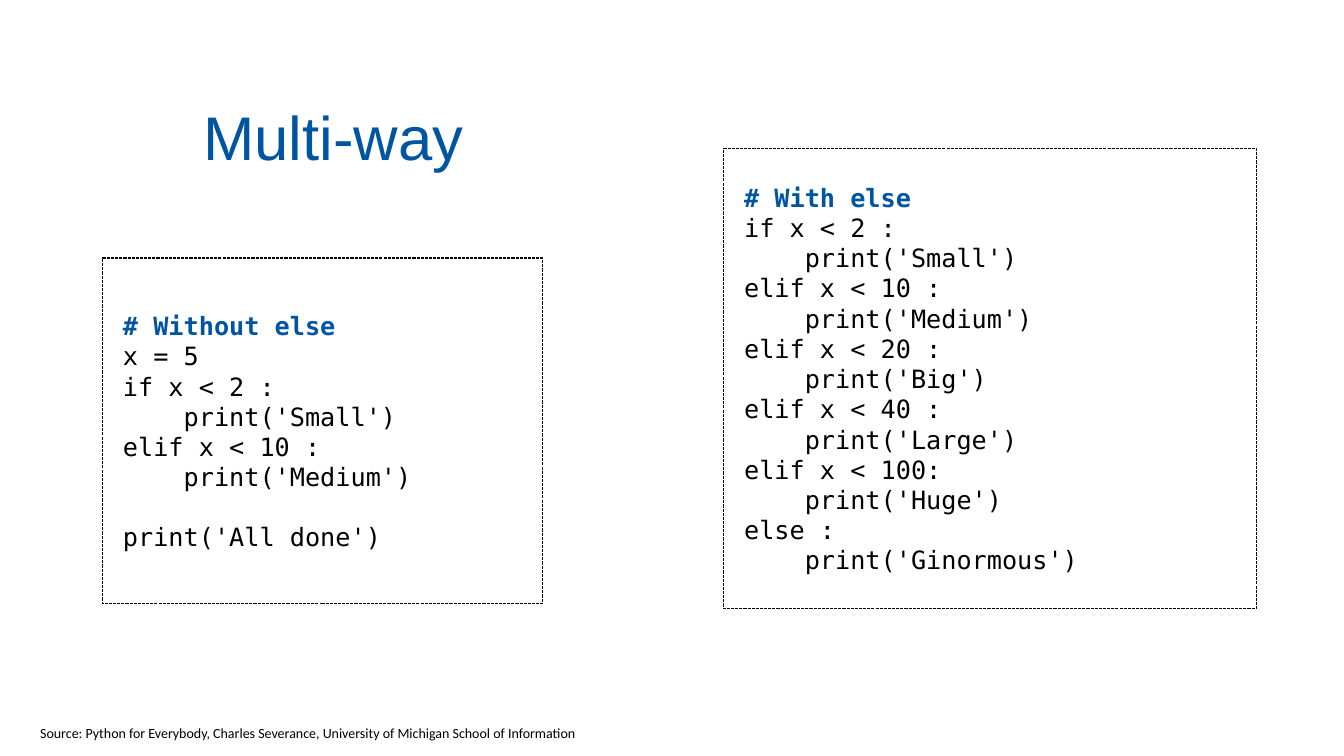
from pptx import Presentation
from pptx.dml.color import RGBColor
from pptx.enum.dml import MSO_LINE
from pptx.enum.shapes import MSO_SHAPE
from pptx.enum.text import MSO_ANCHOR as Anchor, MSO_AUTO_SIZE as Fit, PP_ALIGN as Align
from pptx.util import Inches, Pt

BLUE, BLACK = "0055A2", "000000"

SHORT = """x = 5
if x < 2 :
    print('Small')
elif x < 10 :
    print('Medium')

print('All done')"""

LONG = """if x < 2 :
    print('Small')
elif x < 10 :
    print('Medium')
elif x < 20 :
    print('Big')
elif x < 40 :
    print('Large')
elif x < 100:
    print('Huge')
else :
    print('Ginormous')"""


def color(code):
    return RGBColor.from_string(code)


def write(para, text, font="Arial", size=18, hue=BLACK, bold=False, align=Align.LEFT, gap=0):
    para.alignment = align
    para.space_before = Pt(gap)
    run = para.add_run()
    run.text = text
    run.font.name = font
    run.font.size = Pt(size)
    run.font.bold = bold
    run.font.color.rgb = color(hue)


class Page:
    """Holds the slide and its style, and adds each kind of element."""

    mono = "DejaVu Sans Mono"
    line = 21

    def __init__(self, deck):
        self.slide = deck.slides.add_slide(deck.slide_layouts[5])

    def title(self, text, left, top, width, height):
        head = self.slide.shapes.title
        head.left, head.top = Inches(left), Inches(top)
        head.width, head.height = Inches(width), Inches(height)
        frame = head.text_frame
        frame.vertical_anchor = Anchor.MIDDLE
        frame.margin_left = frame.margin_right = Inches(0.03)
        frame.margin_top = frame.margin_bottom = Inches(0.03)
        write(frame.paragraphs[0], text, size=44, hue=BLUE, align=Align.CENTER)

    def code(self, label, text, left, top, width, height):
        box = self.slide.shapes.add_shape(
            MSO_SHAPE.RECTANGLE, Inches(left), Inches(top), Inches(width), Inches(height))
        box.shadow.inherit = False
        box.fill.background()
        box.line.color.rgb = color(BLACK)
        box.line.width = Pt(0.75)
        box.line.dash_style = MSO_LINE.SQUARE_DOT
        frame = box.text_frame
        frame.word_wrap = True
        frame.vertical_anchor = Anchor.MIDDLE
        frame.margin_left = Inches(0.2)
        frame.margin_right = frame.margin_top = frame.margin_bottom = 0
        write(frame.paragraphs[0], label, font=self.mono, hue=BLUE, bold=True)
        gap = 0
        for row in text.splitlines():
            if row:
                write(frame.add_paragraph(), row, font=self.mono, gap=gap)
            gap = 0 if row else self.line

    def source(self, text, left, top, width, height):
        box = self.slide.shapes.add_textbox(
            Inches(left), Inches(top), Inches(width), Inches(height))
        frame = box.text_frame
        frame.word_wrap = False
        frame.auto_size = Fit.SHAPE_TO_FIT_TEXT
        write(frame.paragraphs[0], text, font="Calibri", size=10)


def main():
    deck = Presentation()
    deck.slide_width, deck.slide_height = Inches(13.33), Inches(7.5)
    page = Page(deck)
    page.title("Multi-way", 0.87, 0.61, 4.87, 1.47)
    page.code("# Without else", SHORT, 1.02, 2.56, 4.36, 3.43)
    page.code("# With else", LONG, 7.18, 1.47, 5.28, 4.57)
    page.source("Source: Python for Everybody, Charles Severance, "
                "University of Michigan School of Information", 0.3, 7.14, 5.6, 0.27)
    deck.save("out.pptx")


if __name__ == "__main__":
    main()
